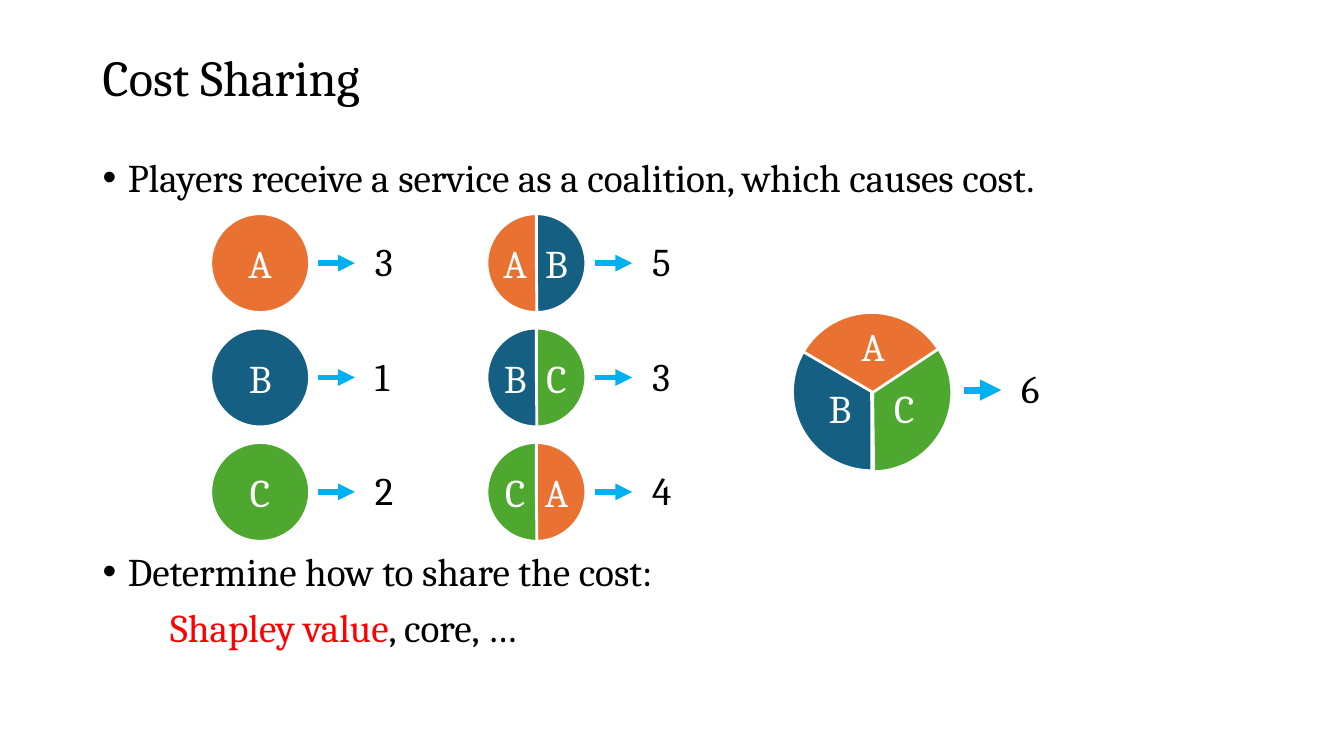
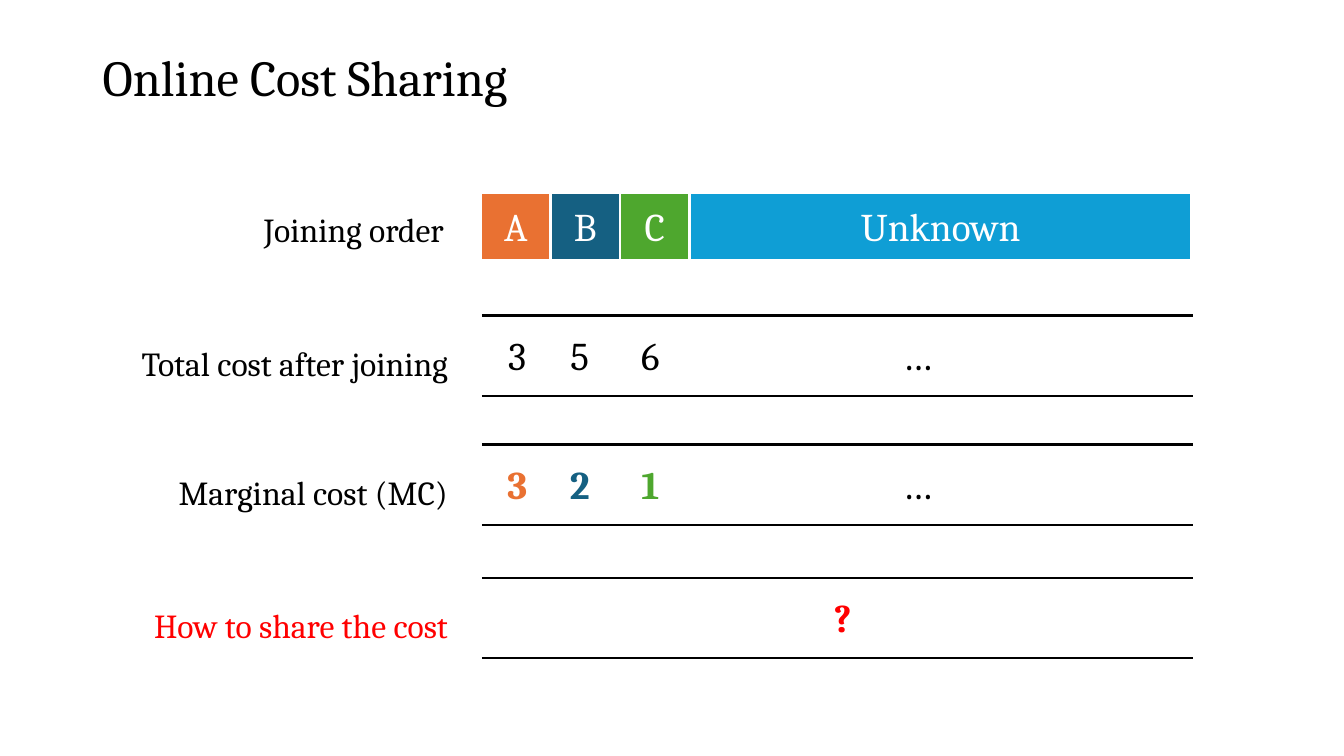
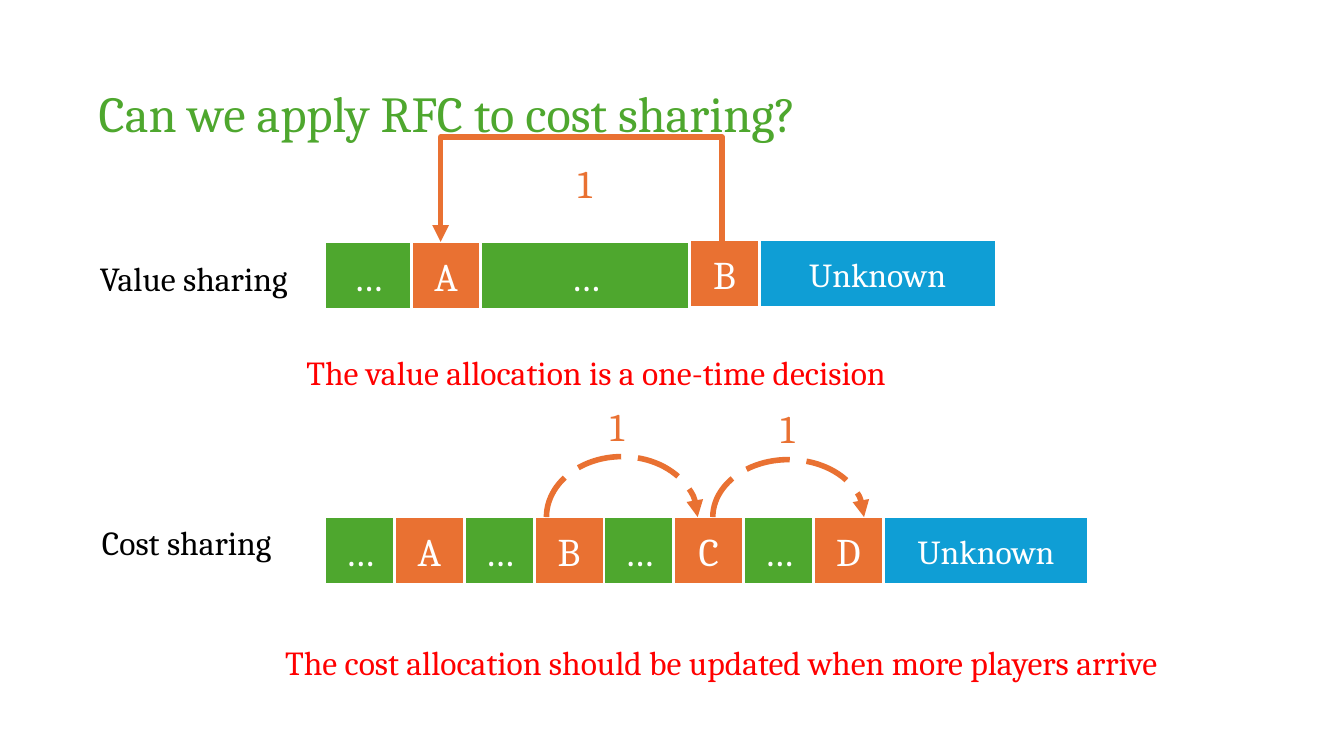
from dataclasses import dataclass
from typing import Optional

from lxml import etree
from pptx import Presentation
from pptx.dml.color import RGBColor
from pptx.enum.dml import MSO_LINE
from pptx.enum.shapes import MSO_CONNECTOR, MSO_SHAPE
from pptx.enum.text import MSO_ANCHOR, PP_ALIGN
from pptx.oxml.ns import qn
from pptx.util import Inches, Pt

BLACK = RGBColor(0x00, 0x00, 0x00)
WHITE = RGBColor(0xFF, 0xFF, 0xFF)
RED = RGBColor(0xFF, 0x00, 0x00)
ORANGE = RGBColor(0xE9, 0x71, 0x32)
NAVY = RGBColor(0x15, 0x60, 0x82)
GREEN = RGBColor(0x4E, 0xA7, 0x2E)
BLUE = RGBColor(0x0F, 0x9E, 0xD5)
SKY = RGBColor(0x00, 0xB0, 0xF0)

LEFT, CENTER, RIGHT = PP_ALIGN.LEFT, PP_ALIGN.CENTER, PP_ALIGN.RIGHT
TOP, MIDDLE = MSO_ANCHOR.TOP, MSO_ANCHOR.MIDDLE
OVAL, PIE, RECTANGLE, ARC = MSO_SHAPE.OVAL, MSO_SHAPE.PIE, MSO_SHAPE.RECTANGLE, MSO_SHAPE.ARC
STRAIGHT, LONG_DASH = MSO_CONNECTOR.STRAIGHT, MSO_LINE.LONG_DASH

FONT = "Cambria"
TITLE_SIZE, BODY_SIZE, LABEL_SIZE = 36, 28, 24
BODY_HEIGHT, LABEL_HEIGHT = 0.57, 0.5
CELL_WIDTH, CELL_HEIGHT = 0.69, 0.67
PLAYERS = {"A": ORANGE, "B": NAVY, "C": GREEN}


@dataclass(frozen=True)
class Area:
    left: float
    top: float
    width: float
    height: float

    def lengths(self):
        return (Inches(self.left), Inches(self.top),
                Inches(self.width), Inches(self.height))


@dataclass(frozen=True)
class Cell:
    text: str
    color: RGBColor
    width: float = CELL_WIDTH
    size: int = BODY_SIZE


@dataclass(frozen=True)
class CostRow:
    label: str
    top: float
    entries: tuple
    colors: tuple
    bold: bool = False
    label_color: RGBColor = BLACK


# Text
def style(para, size: int, color: RGBColor, align=LEFT, bold: bool = False) -> None:
    para.alignment = align
    font = para.font
    font.name, font.size, font.bold = FONT, Pt(size), bold
    font.color.rgb = color


def add_text(page, text: str, area: Area, size: int = BODY_SIZE,
             color: RGBColor = BLACK, align=LEFT, bold: bool = False, anchor=TOP):
    box = page.shapes.add_textbox(*area.lengths())
    frame = box.text_frame
    frame.word_wrap = True
    frame.vertical_anchor = anchor
    para = frame.paragraphs[0]
    para.text = text
    style(para, size, color, align, bold)
    return box


def add_letter(page, text: str, center: float, top: float,
               color: RGBColor = WHITE, bold: bool = False) -> None:
    add_text(page, text, Area(center - 0.35, top, 0.7, BODY_HEIGHT),
             color=color, align=CENTER, bold=bold)


def add_label(page, text: str, right: float, top: float, color: RGBColor = BLACK) -> None:
    add_text(page, text, Area(right - 4, top, 4, LABEL_HEIGHT), LABEL_SIZE, color, RIGHT)


def add_bullet(page, text: str, area: Area):
    box = add_text(page, text, area)
    para = box.text_frame.paragraphs[0]
    para.line_spacing = 0.9
    properties = para._p.get_or_add_pPr()
    properties.set("marL", str(Inches(0.25)))
    properties.set("indent", str(-Inches(0.25)))
    font = etree.Element(qn("a:buFont"), typeface="Arial")
    bullet = etree.Element(qn("a:buChar"), char="•")
    position = properties.index(properties.find(qn("a:defRPr")))
    properties.insert(position, font)
    properties.insert(position + 1, bullet)
    return box


def add_page(deck, title: str, area: Area = Area(0.92, 0.07, 11.5, 1.45),
             color: RGBColor = BLACK):
    page = deck.slides.add_slide(deck.slide_layouts[6])
    box = add_text(page, title, area, TITLE_SIZE, color, anchor=MIDDLE)
    box.text_frame.paragraphs[0].line_spacing = 0.9
    return page


# Shapes and lines
def add_block(page, kind, area: Area, fill: RGBColor, text: str = "", size: int = BODY_SIZE):
    shape = page.shapes.add_shape(kind, *area.lengths())
    shape.shadow.inherit = False
    shape.fill.solid()
    shape.fill.fore_color.rgb = fill
    shape.line.color.rgb = WHITE
    shape.line.width = Pt(2)
    if text:
        frame = shape.text_frame
        frame.vertical_anchor = MIDDLE
        frame.paragraphs[0].text = text
        style(frame.paragraphs[0], size, WHITE, CENTER)
    return shape


def add_pie(page, area: Area, fill: RGBColor, start: float, end: float,
            rotation: float = 0) -> None:
    pie = add_block(page, PIE, area, fill)
    pie.adjustments[0], pie.adjustments[1] = start, end
    pie.rotation = rotation


def add_strip(page, left: float, top: float, cells: list) -> None:
    for cell in cells:
        add_block(page, RECTANGLE, Area(left, top, cell.width, CELL_HEIGHT),
                  cell.color, cell.text, cell.size)
        left += cell.width


def set_line(shape, color: RGBColor, width: float, arrow: bool, dash=None) -> None:
    line = shape.line
    line.color.rgb = color
    line.width = Pt(width)
    if dash is not None:
        line.dash_style = dash
    if arrow:
        outline = shape._element.spPr.find(qn("a:ln"))
        etree.SubElement(outline, qn("a:tailEnd"), type="triangle")


def add_level_line(page, left: float, right: float, y: float, color: RGBColor,
                   width: float, arrow: bool = False) -> None:
    line = page.shapes.add_connector(STRAIGHT, Inches(left), Inches(y),
                                     Inches(right), Inches(y))
    set_line(line, color, width, arrow)
    etree.SubElement(line._element.spPr, qn("a:effectLst"))


def add_cost(page, text: str, left: float, y: float, width: float = 4) -> None:
    add_level_line(page, left, left + 0.37, y, SKY, width, arrow=True)
    add_text(page, text, Area(left + 0.47, y - 0.3, 0.42, BODY_HEIGHT))


def add_transfer(page, left: float, top: float, width: float, height: float) -> None:
    arc = page.shapes.add_shape(ARC, *Area(left, top, width, 2 * height).lengths())
    arc.adjustments[0], arc.adjustments[1] = 108, 0
    arc.shadow.inherit = False
    arc.fill.background()
    set_line(arc, ORANGE, 4, True, LONG_DASH)


# Slides
def build_cost_sharing(deck) -> None:
    page = add_page(deck, "Cost Sharing")
    add_bullet(page, "Players receive a service as a coalition, which causes cost.",
               Area(0.92, 1.52, 11.5, 0.6))
    methods = add_bullet(page, "Determine how to share the cost:", Area(0.92, 5.43, 11.5, 1.2))
    para = methods.text_frame.add_paragraph()
    para.line_spacing = 0.9
    para.space_before = Pt(10)
    para._p.get_or_add_pPr().set("marL", str(Inches(0.67)))
    style(para, BODY_SIZE, BLACK)
    span = para.add_run()
    span.text = "Shapley value"
    span.font.color.rgb = RED
    para.add_run().text = ", core, …"

    # Single players and pairs
    size = 0.98
    rows = [("A", "3", "AB", "5"), ("B", "1", "BC", "3"), ("C", "2", "CA", "4")]
    for index, (single, single_cost, pair, pair_cost) in enumerate(rows):
        top = 2.12 + index * 1.135
        middle = top + size / 2
        add_block(page, OVAL, Area(2.09, top, size, size), PLAYERS[single], single)
        add_cost(page, single_cost, 3.15, middle)

        area = Area(4.83, top, size, size)
        add_block(page, OVAL, area, PLAYERS[pair[1]])
        add_pie(page, area, PLAYERS[pair[0]], 53.63, 162)
        for letter, center in zip(pair, (5.11, 5.52)):
            add_letter(page, letter, center, top + 0.21)
        add_cost(page, pair_cost, 5.9, middle)

    # All three players
    whole = Area(7.86, 3.1, 1.57, 1.57)
    add_block(page, OVAL, whole, ORANGE)
    add_pie(page, Area(7.87, 3.11, 1.57, 1.57), GREEN, 52.78, 126.49, 238.4)
    add_pie(page, whole, NAVY, 86.76, 159.04, 305.2)
    for letter, center, top in (("A", 8.66, 3.15), ("B", 8.33, 3.76), ("C", 8.97, 3.76)):
        add_letter(page, letter, center, top)
    add_cost(page, "6", 9.56, 3.87, width=5)


def build_online_cost_sharing(deck) -> None:
    page = add_page(deck, "Online Cost Sharing")
    order = [Cell(name, color) for name, color in PLAYERS.items()]
    add_strip(page, 4.77, 1.91, order + [Cell("Unknown", BLUE, 4.98)])
    add_label(page, "Joining order", 4.5, 2.02)

    centers = (5.13, 5.75, 6.45, 9.1)
    rows = [
        CostRow("Total cost after joining", 3.13, ("3", "5", "6", "…"), (BLACK,) * 4),
        CostRow("Marginal cost (MC)", 4.41, ("3", "2", "1", "…"),
                (*PLAYERS.values(), BLACK), bold=True),
        CostRow("How to share the cost", 5.73, ("?",), (RED,), bold=True, label_color=RED),
    ]
    for row in rows:
        add_label(page, row.label, 4.54, row.top + 0.22, row.label_color)
        for y in (row.top, row.top + 0.8):
            add_level_line(page, 4.78, 11.83, y, BLACK, 1.5)
        places = centers if len(row.entries) > 1 else (8.36,)
        for text, center, color in zip(row.entries, places, row.colors):
            add_letter(page, text, center, row.top + 0.11, color, row.bold and text != "…")


def build_rfc_question(deck) -> None:
    page = add_page(deck, "Can we apply RFC to cost sharing?",
                    Area(0.88, 0.43, 11.38, 1.45), GREEN)

    # Value sharing
    add_label(page, "Value sharing", 2.95, 2.51)
    add_strip(page, 3.22, 2.4, [Cell("…", GREEN, 0.86), Cell("A", ORANGE),
                                Cell("…", GREEN, 2.07)])
    add_strip(page, 6.84, 2.38, [Cell("B", ORANGE), Cell("Unknown", BLUE, 2.35, LABEL_SIZE)])
    corners = [(Inches(x), Inches(y)) for x, y in
               ((7.16, 2.4), (7.16, 1.36), (4.37, 1.36), (4.37, 2.4))]
    builder = page.shapes.build_freeform(*corners[0])
    builder.add_line_segments(corners[1:], close=False)
    payment = builder.convert_to_shape()
    payment.shadow.inherit = False
    payment.fill.background()
    set_line(payment, ORANGE, 4, True)
    add_letter(page, "1", 5.8, 1.53, ORANGE)
    add_label_wide(page, "The value allocation is a one-time decision", 2.94)

    # Cost sharing
    add_label(page, "Cost sharing", 2.79, 5.13)
    width = (8.76 - 3.22) / 8
    cells = [cell for name in "ABCD"
             for cell in (Cell("…", GREEN, width), Cell(name, ORANGE, width))]
    add_strip(page, 3.22, 5.13, cells + [Cell("Unknown", BLUE, 2.04, LABEL_SIZE)])
    for left, top, center, text_top in ((5.42, 4.53, 6.12, 3.94), (7.07, 4.56, 7.81, 3.96)):
        add_transfer(page, left, top, 1.5, 5.13 - top)
        add_letter(page, "1", center, text_top, ORANGE)
    add_label_wide(page, "The cost allocation should be updated when more players arrive",
                   2.73, 6.32)


def add_label_wide(page, text: str, left: float, top: Optional[float] = 3.44) -> None:
    add_text(page, text, Area(left, top, 9.53, LABEL_HEIGHT), LABEL_SIZE, RED)


def main() -> None:
    deck = Presentation()
    deck.slide_width, deck.slide_height = Inches(13.33), Inches(7.5)
    build_cost_sharing(deck)
    build_online_cost_sharing(deck)
    build_rfc_question(deck)
    deck.save("out.pptx")


if __name__ == "__main__":
    main()
